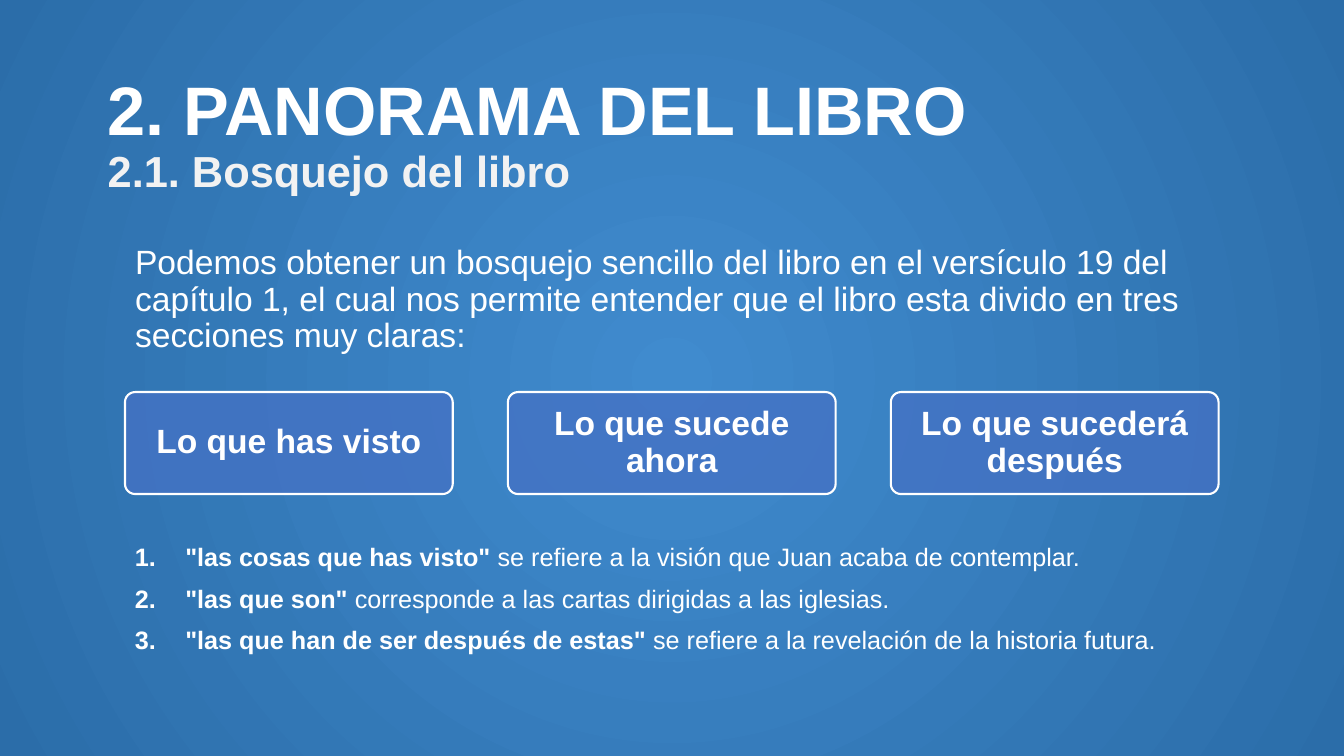
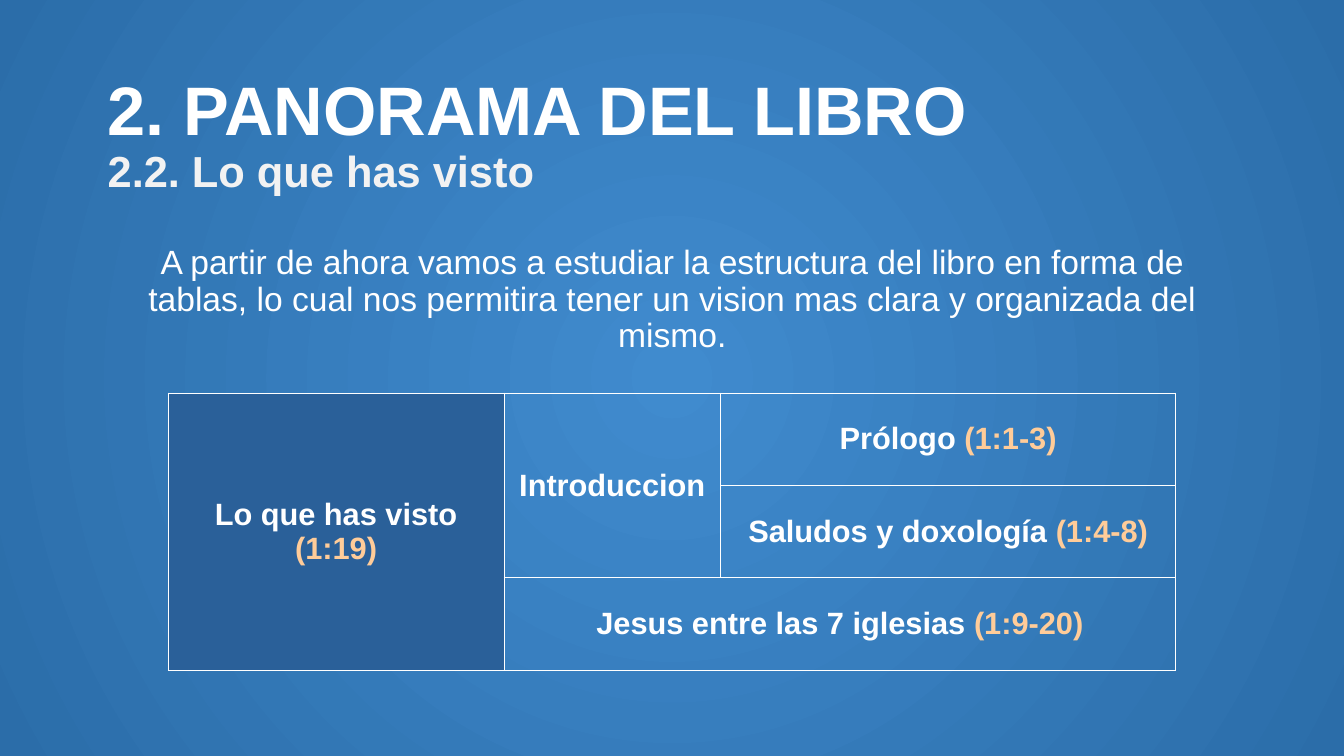
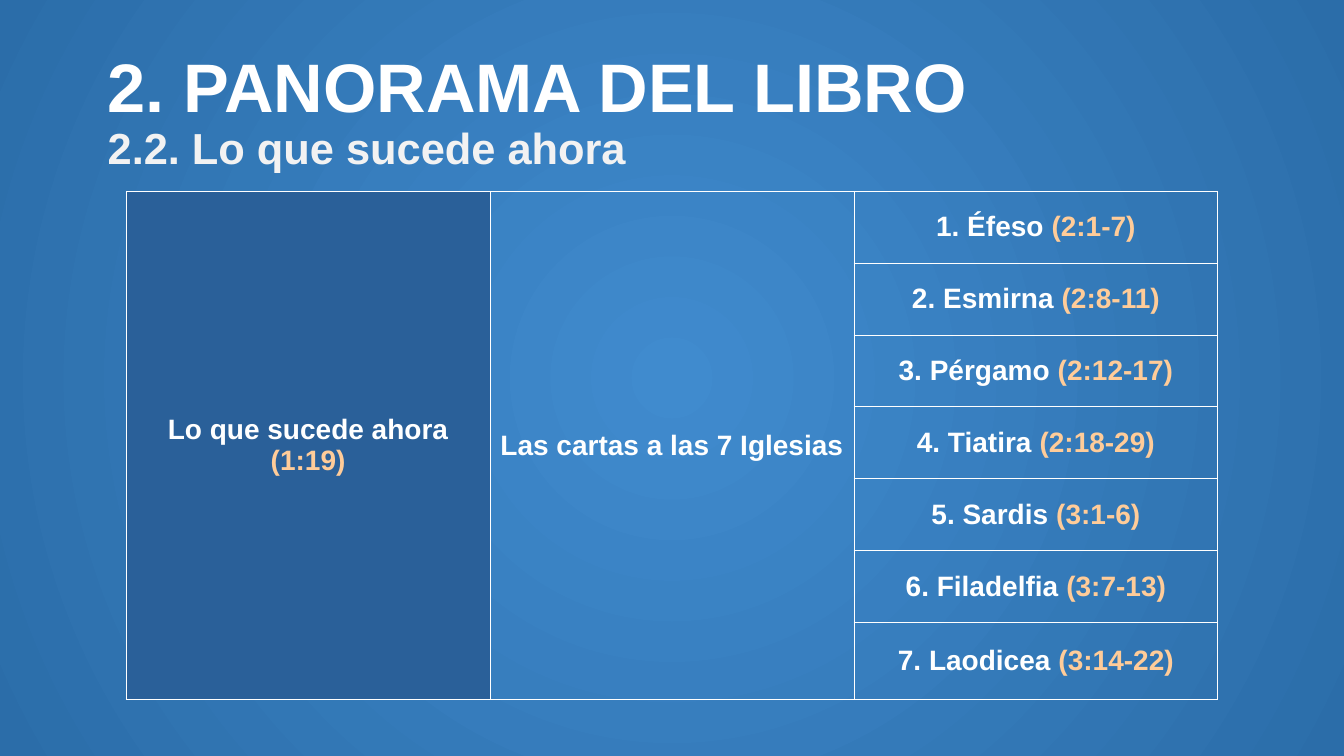
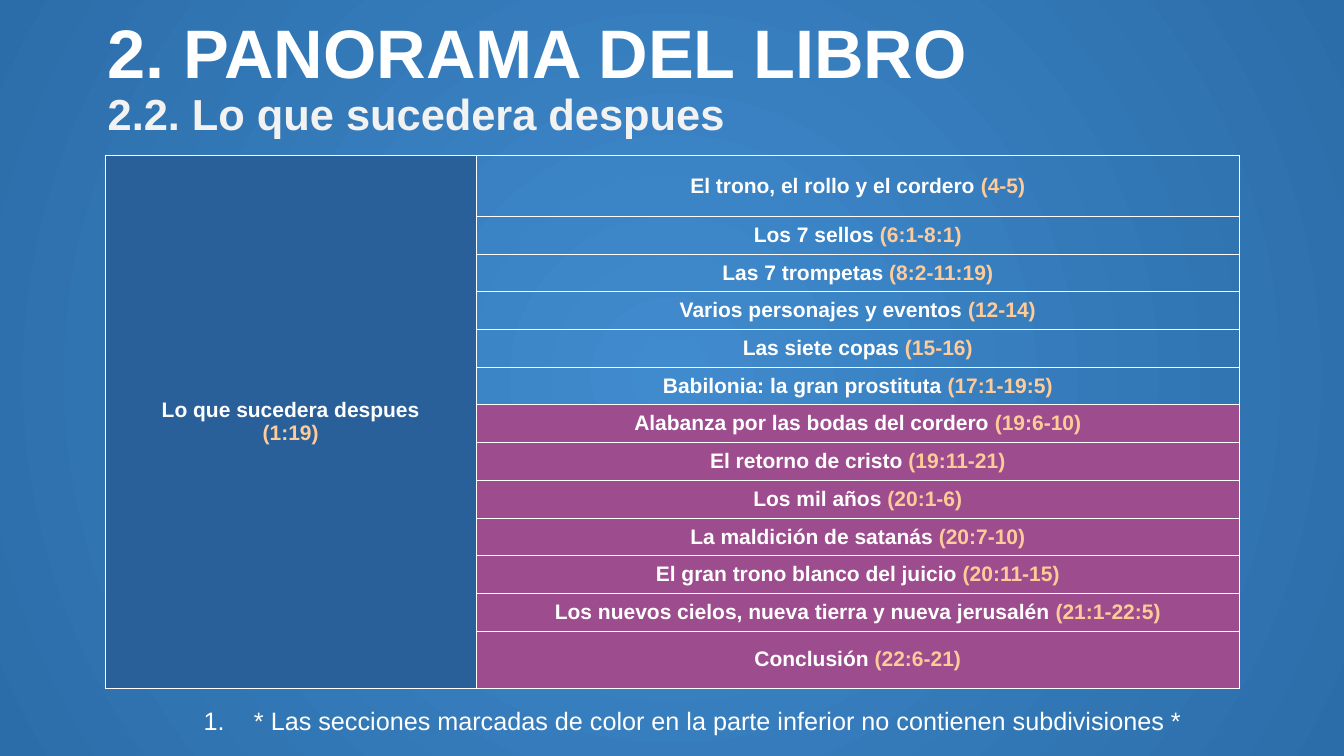
from dataclasses import dataclass

from lxml import etree
from pptx import Presentation
from pptx.dml.color import RGBColor
from pptx.enum import shapes, text
from pptx.oxml import parse_xml
from pptx.oxml.ns import nsdecls, qn
from pptx.util import Cm, Pt

LEFT, CENTER = text.PP_ALIGN.LEFT, text.PP_ALIGN.CENTER
CONTENT_LAYOUT, TITLE_LAYOUT = 1, 5


@dataclass(frozen=True)
class Theme:
    font: str = "Arial"
    # Colours
    glow: str = "408BCE"
    edge: str = "2B6DA9"
    white: str = "FFFFFF"
    subtitle: str = "F2F2F2"
    box: str = "4472C4"
    section: str = "2A6099"
    marked: str = "9D4C8E"
    reference: str = "FFCC99"
    # Type sizes in points
    title_size: int = 49
    subtitle_size: int = 31
    body_size: int = 24
    list_size: int = 18


class Deck:
    """Holds the style and the slide being built."""

    def __init__(self, theme):
        self.theme = theme
        self.presentation = Presentation()
        self.presentation.slide_width = Cm(33.87)
        self.presentation.slide_height = Cm(19.05)
        self.slide = None
        self.set_background()

    def set_background(self):
        """Radial gradient on the master, shared by all slides."""
        fill = self.presentation.slide_master.background.fill
        fill.gradient()
        for stop, color in zip(fill.gradient_stops, (self.theme.glow, self.theme.edge)):
            stop.color.rgb = RGBColor.from_string(color)
        fill.gradient_stops[0].position = 0
        fill.gradient_stops[1].position = 1
        common = self.presentation.slide_master.element.find(qn("p:cSld"))
        gradient = common.find(".//" + qn("a:gradFill"))
        linear = gradient.find(qn("a:lin"))
        gradient.replace(linear, parse_xml(
            f'<a:path {nsdecls("a")} path="circle">'
            '<a:fillToRect l="50000" t="50000" r="50000" b="50000"/></a:path>'))

    # Text helpers
    def format_run(self, run, size, color=None, bold=False):
        run.font.name = self.theme.font
        run.font.size = Pt(size)
        run.font.bold = bold
        run.font.color.rgb = RGBColor.from_string(color or self.theme.white)

    def place(self, shape, left, top, width, height):
        shape.left, shape.top, shape.width, shape.height = map(Cm, (left, top, width, height))
        frame = shape.text_frame
        frame.word_wrap = True
        frame.auto_size = text.MSO_AUTO_SIZE.NONE
        frame.vertical_anchor = text.MSO_ANCHOR.MIDDLE
        return frame

    def space(self, paragraph, align, before=0):
        paragraph.alignment = align
        paragraph.line_spacing = 0.9
        paragraph.space_before = Pt(before)

    # Elements
    def add_slide(self, layout, subtitle, top=1.3, height=4.29):
        self.slide = self.presentation.slides.add_slide(self.presentation.slide_layouts[layout])
        frame = self.place(self.slide.shapes.title, 2.46, top, 28.96, height)
        frame.text = "2. PANORAMA DEL LIBRO\v" + subtitle
        paragraph = frame.paragraphs[0]
        self.space(paragraph, LEFT)
        heading, second = paragraph.runs
        self.format_run(heading, self.theme.title_size, bold=True)
        self.format_run(second, self.theme.subtitle_size, self.theme.subtitle, bold=True)

    def add_body(self, content, align=LEFT):
        frame = self.place(self.slide.placeholders[1], 3.15, 5.61, 27.58, 3.91)
        frame.text = content
        paragraph = frame.paragraphs[0]
        properties = paragraph._p.get_or_add_pPr()
        properties.set("marL", "0")
        properties.set("indent", "0")
        etree.SubElement(properties, qn("a:buNone"))
        self.space(paragraph, align)
        self.format_run(paragraph.runs[0], self.theme.body_size)

    def add_box(self, content, left, top, width, height):
        shape = self.slide.shapes.add_shape(
            shapes.MSO_SHAPE.ROUNDED_RECTANGLE, *map(Cm, (left, top, width, height)))
        shape.adjustments[0] = 0.1
        shape.shadow.inherit = False
        shape.fill.solid()
        shape.fill.fore_color.rgb = RGBColor.from_string(self.theme.box)
        color = shape.element.spPr.find(qn("a:solidFill"))[0]
        etree.SubElement(color, qn("a:alpha"), val="80000")
        shape.line.color.rgb = RGBColor.from_string(self.theme.white)
        shape.line.width = Pt(1.5)
        frame = self.place(shape, left, top, width, height)
        frame.text = content
        self.space(frame.paragraphs[0], CENTER)
        self.format_run(frame.paragraphs[0].runs[0], self.theme.body_size, bold=True)

    def add_numbered(self, items, position, align=LEFT):
        """Each item is a bold term and the plain text after it."""
        frame = self.place(self.slide.shapes.add_textbox(0, 0, 0, 0), *position)
        for index, (term, content) in enumerate(items):
            paragraph = frame.add_paragraph() if index else frame.paragraphs[0]
            properties = paragraph._p.get_or_add_pPr()
            properties.set("marL", str(Cm(1.27)))
            properties.set("indent", str(Cm(-1.27)))
            etree.SubElement(properties, qn("a:buFont"), typeface="+mj-lt")
            etree.SubElement(properties, qn("a:buAutoNum"), type="arabicPeriod")
            self.space(paragraph, align, before=10 if index else 0)
            for part, bold in ((term, True), (content, False)):
                if part:
                    run = paragraph.add_run()
                    run.text = part
                    self.format_run(run, self.theme.list_size, bold=bold)

    def add_table(self, left, top, widths, heights, cells, size):
        """Each cell is (row, column, text, rows spanned, columns spanned, fill)."""
        table = self.slide.shapes.add_table(
            len(heights), len(widths), Cm(left), Cm(top),
            Cm(sum(widths)), Cm(sum(heights))).table
        table.first_row = table.horz_banding = False
        for column, width in zip(table.columns, widths):
            column.width = Cm(width)
        for row, height in zip(table.rows, heights):
            row.height = Cm(height)
        for cell in table.iter_cells():
            cell.fill.background()
            self.add_borders(cell)
        for row, column, content, row_span, column_span, fill in cells:
            cell = table.cell(row, column)
            if row_span * column_span > 1:
                cell.merge(table.cell(row + row_span - 1, column + column_span - 1))
            if fill:
                cell.fill.solid()
                cell.fill.fore_color.rgb = RGBColor.from_string(fill)
            self.write_cell(cell, content, size)

    def add_borders(self, cell):
        properties = cell._tc.get_or_add_tcPr()
        for index, side in enumerate("LRTB"):
            properties.insert(index, parse_xml(
                f'<a:ln{side} {nsdecls("a")} w="{Pt(0.57)}"><a:solidFill>'
                f'<a:srgbClr val="{self.theme.white}"/></a:solidFill></a:ln{side}>'))

    def write_cell(self, cell, content, size):
        """Verse references, in brackets, take their own colour."""
        cell.vertical_anchor = text.MSO_ANCHOR.MIDDLE
        cell.margin_left = cell.margin_right = Cm(0.1)
        cell.margin_top = cell.margin_bottom = Cm(0.13)
        cell.text_frame.text = content
        for paragraph in cell.text_frame.paragraphs:
            paragraph.alignment = CENTER
            label, bracket, rest = paragraph.text.partition("(")
            paragraph.text = ""
            for part, color in ((label, self.theme.white), (bracket + rest, self.theme.reference)):
                if part:
                    run = paragraph.add_run()
                    run.text = part
                    self.format_run(run, size, color, bold=True)


def main():
    theme = Theme()
    deck = Deck(theme)

    # Outline of the book
    deck.add_slide(CONTENT_LAYOUT, "2.1. Bosquejo del libro")
    deck.add_body("Podemos obtener un bosquejo sencillo del libro en el versículo 19 del capítulo 1, "
                  "el cual nos permite entender que el libro esta divido en tres secciones muy claras:")
    sections = ("Lo que has visto", "Lo que sucede ahora", "Lo que sucederá después")
    for index, section in enumerate(sections):
        deck.add_box(section, 3.15 + index * 9.65, 9.88, 8.26, 2.57)
    deck.add_numbered([
        ('"las cosas que has visto"', " se refiere a la visión que Juan acaba de contemplar."),
        ('"las que son"', " corresponde a las cartas dirigidas a las iglesias."),
        ('"las que han de ser después de estas"',
         " se refiere a la revelación de la historia futura."),
    ], (3.15, 13.34, 27.58, 3.56))

    # What you have seen
    deck.add_slide(CONTENT_LAYOUT, "2.2. Lo que has visto")
    deck.add_body("A partir de ahora vamos a estudiar la estructura del libro en forma de tablas, lo cual "
                  "nos permitira tener un vision mas clara y organizada del mismo.", CENTER)
    deck.add_table(4.24, 9.9, [8.46, 5.46, 11.47], [2.33] * 3, [
        (0, 0, "Lo que has visto\n(1:19)", 3, 1, theme.section),
        (0, 1, "Introduccion", 2, 1, None),
        (0, 2, "Prólogo (1:1-3)", 1, 1, None),
        (1, 2, "Saludos y doxología (1:4-8)", 1, 1, None),
        (2, 1, "Jesus entre las 7 iglesias (1:9-20)", 1, 2, None),
    ], 22)

    # What happens now
    deck.add_slide(TITLE_LAYOUT, "2.2. Lo que sucede ahora", top=0.71)
    churches = ("Éfeso (2:1-7)", "Esmirna (2:8-11)", "Pérgamo (2:12-17)", "Tiatira (2:18-29)",
                "Sardis (3:1-6)", "Filadelfia (3:7-13)", "Laodicea (3:14-22)")
    count = len(churches)
    deck.add_table(3.18, 4.82, [9.17] * 3, [1.81] * (count - 1) + [1.95], [
        (0, 0, "Lo que sucede ahora\n(1:19)", count, 1, theme.section),
        (0, 1, "Las cartas a las 7 Iglesias", count, 1, None),
        *((row, 2, f"{row + 1}. {church}", 1, 1, None) for row, church in enumerate(churches)),
    ], 20)

    # What will happen later
    deck.add_slide(TITLE_LAYOUT, "2.2. Lo que sucedera despues", top=0.41, height=3.18)
    divided = ("El trono, el rollo y el cordero (4-5)", "Los 7 sellos (6:1-8:1)",
               "Las 7 trompetas (8:2-11:19)", "Varios personajes y eventos (12-14)",
               "Las siete copas (15-16)", "Babilonia: la gran prostituta (17:1-19:5)")
    undivided = ("Alabanza por las bodas del cordero (19:6-10)", "El retorno de cristo (19:11-21)",
                 "Los mil años (20:1-6)", "La maldición de satanás (20:7-10)",
                 "El gran trono blanco del juicio (20:11-15)",
                 "Los nuevos cielos, nueva tierra y nueva jerusalén (21:1-22:5)",
                 "Conclusión (22:6-21)")
    events = divided + undivided
    count = len(events)
    deck.add_table(2.65, 3.91, [9.35, 19.23], [1.54] + [0.95] * (count - 2) + [1.44], [
        (0, 0, "Lo que sucedera despues\n(1:19)", count, 1, theme.section),
        *((row, 1, event, 1, 1, theme.marked if event in undivided else None)
          for row, event in enumerate(events)),
    ], 15)
    deck.add_numbered([
        ("", "* Las secciones marcadas de color en la parte inferior no contienen subdivisiones *"),
    ], (3.15, 17.68, 28.6, 1.02), CENTER)

    deck.presentation.save("out.pptx")


if __name__ == "__main__":
    main()
